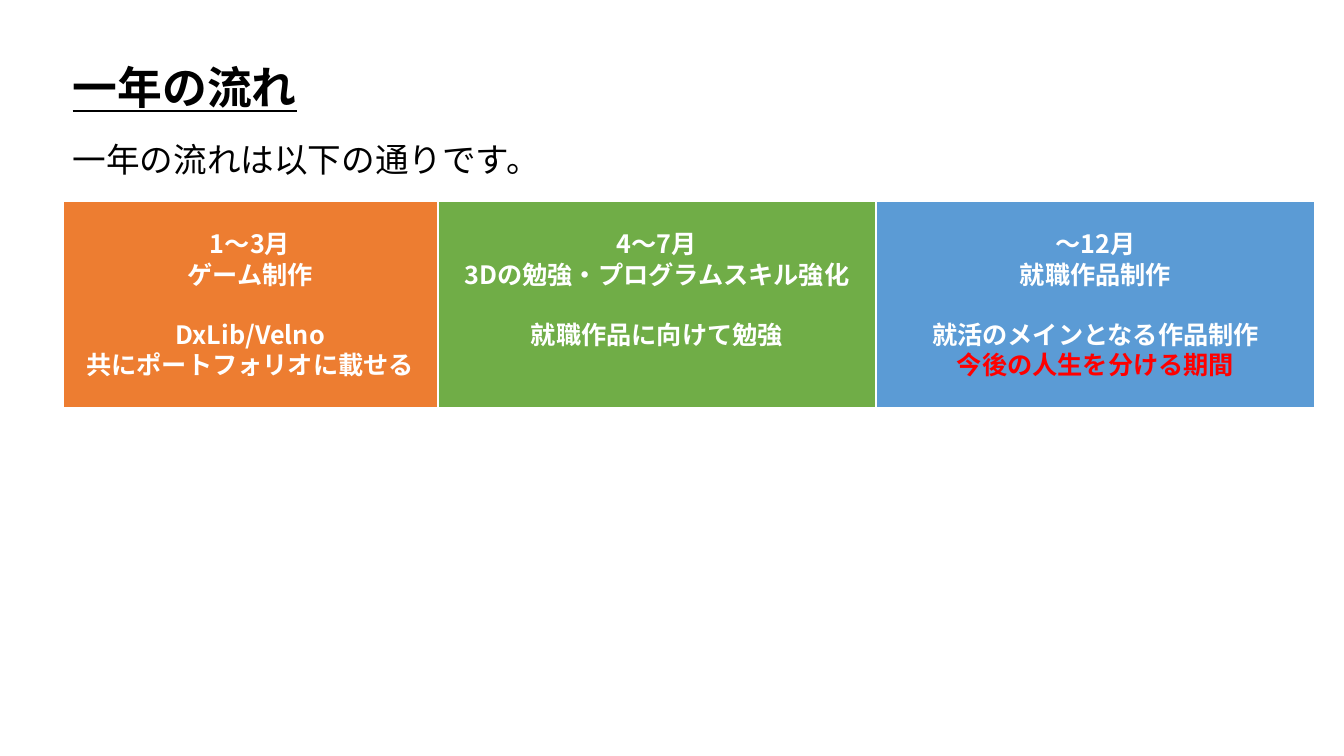
from pptx import Presentation
from pptx.dml.color import RGBColor as RGB
from pptx.enum.shapes import MSO_SHAPE as SHAPE
from pptx.enum.text import MSO_ANCHOR as ANCHOR, MSO_AUTO_SIZE as AUTO, PP_ALIGN as ALIGN
from pptx.oxml.ns import qn
from pptx.util import Inches, Pt
from lxml.etree import SubElement

FONT = "Noto Sans CJK JP"
COLORS = {"text": "000000", "white": "FFFFFF", "alert": "FF0000",
          "orange": "ED7D31", "green": "70AD47", "blue": "5B9BD5"}
LEFT, TOP, HEIGHT = 0.62, 1.99, 2.06
LINE = 0.3
ROWS = 4
PERIODS = [
    ("orange", 3.72, ["1～3月", "ゲーム制作"],
     [("DxLib/Velno", "white"), ("共にポートフォリオに載せる", "white")]),
    ("green", 4.35, ["4～7月", "3Dの勉強・プログラムスキル強化"],
     [("就職作品に向けて勉強", "white")]),
    ("blue", 4.35, ["～12月", "就職作品制作"],
     [("就活のメインとなる作品制作", "white"), ("今後の人生を分ける期間", "alert")]),
]


def color(name):
    """Return the named colour."""
    return RGB.from_string(COLORS[name])


def add_run(p, text, size, name, bold=False, underline=False):
    """Add one formatted run to a paragraph."""
    r = p.add_run()
    r.text = text
    f = r.font
    f.size, f.bold, f.underline = Pt(size), bold, underline
    f.color.rgb = color(name)
    f.name = FONT
    SubElement(r._r.get_or_add_rPr(), qn("a:ea"), typeface=FONT)


def fill_placeholder(sp, box, text, size, **style):
    """Place a template placeholder and write its single line."""
    sp.left, sp.top, sp.width, sp.height = map(Inches, box)
    tf = sp.text_frame
    tf.word_wrap, tf.auto_size = False, AUTO.SHAPE_TO_FIT_TEXT
    tf.vertical_anchor = ANCHOR.TOP
    p = tf.paragraphs[0]
    pPr = p._p.get_or_add_pPr()
    pPr.set("marL", "0")
    pPr.set("indent", "0")
    SubElement(pPr, qn("a:buNone"))
    p.alignment, p.space_before = ALIGN.LEFT, Pt(0)
    add_run(p, text, size, "text", **style)


def add_period(s, left, width, fill, heading, details):
    """Add one coloured period block with its heading and details."""
    sp = s.shapes.add_shape(SHAPE.RECTANGLE, Inches(left), Inches(TOP),
                            Inches(width), Inches(HEIGHT))
    sp.shadow.inherit = False
    sp.fill.solid()
    sp.fill.fore_color.rgb = color(fill)
    sp.line.color.rgb = color("white")
    sp.line.width = Pt(1.5)
    tf = sp.text_frame
    tf.word_wrap, tf.vertical_anchor = True, ANCHOR.MIDDLE
    lines = [(text, "white") for text in heading] + details
    tf.margin_bottom = Inches(0.05 + LINE * (ROWS - len(lines)))
    for i, (text, name) in enumerate(lines):
        p = tf.add_paragraph() if i else tf.paragraphs[0]
        p.alignment = ALIGN.CENTER
        if i == len(heading):
            p.space_before = Inches(LINE)
        add_run(p, text, 18, name, bold=True)


def main():
    """Build the yearly schedule slide."""
    prs = Presentation()
    prs.slide_width, prs.slide_height = Inches(13.33), Inches(7.5)
    s = prs.slides.add_slide(prs.slide_layouts[1])
    fill_placeholder(s.shapes.title, (LEFT, 0.54, 2.45, 0.64),
                     "一年の流れ", 32, bold=True, underline=True)
    fill_placeholder(s.placeholders[1], (LEFT, 1.33, 4.91, 0.5),
                     "一年の流れは以下の通りです。", 24)
    left = LEFT
    for fill, width, heading, details in PERIODS:
        add_period(s, left, width, fill, heading, details)
        left += width
    prs.save("out.pptx")


if __name__ == "__main__":
    main()
